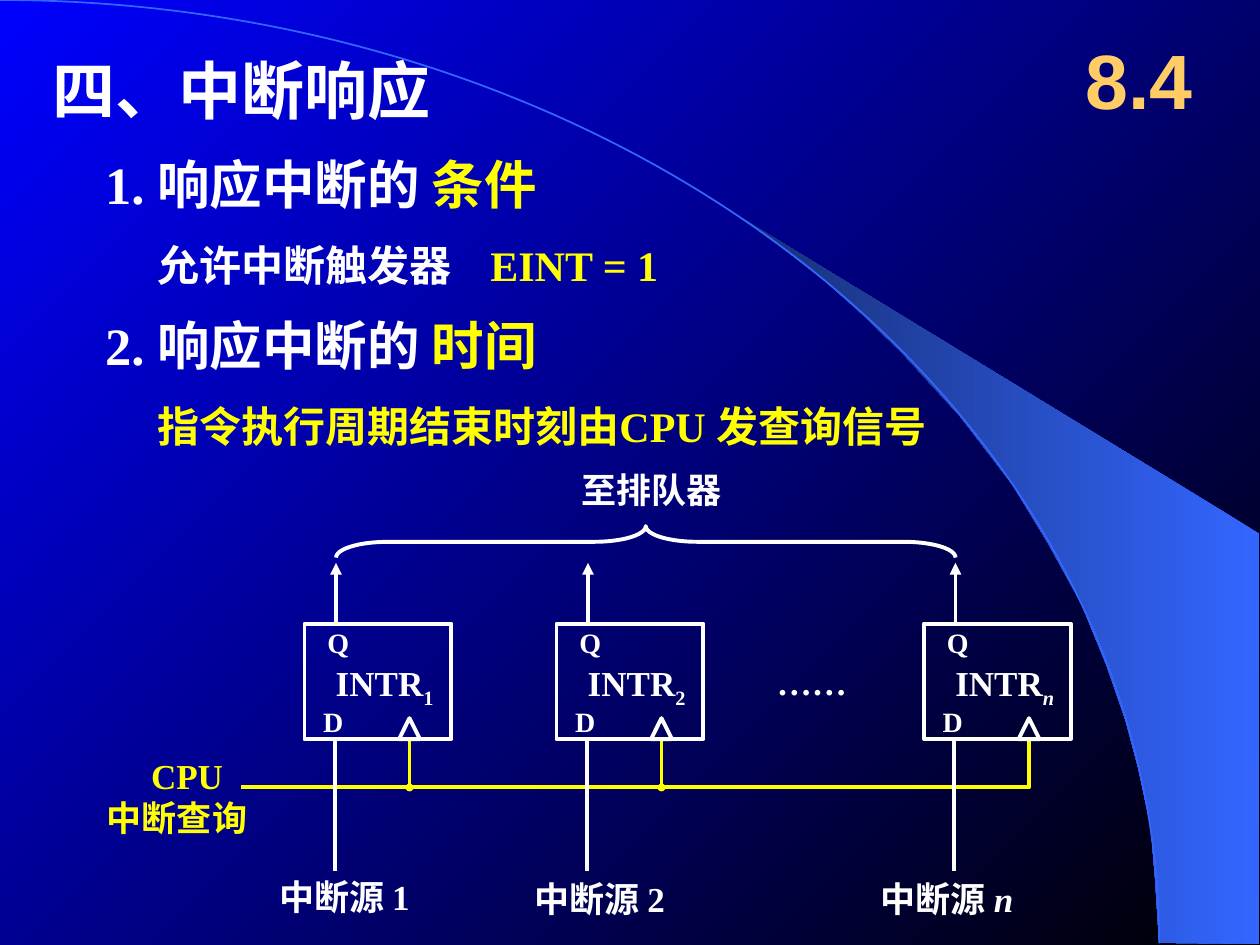
"""Build the slide on interrupt response: conditions, timing and the request flip-flops."""
from dataclasses import dataclass

from lxml.etree import SubElement
from pptx import Presentation
from pptx.dml.color import RGBColor
from pptx.enum.shapes import MSO_CONNECTOR, MSO_SHAPE
from pptx.enum.text import MSO_ANCHOR, PP_ALIGN
from pptx.oxml.ns import qn
from pptx.util import Emu, Pt

PX = 7620


@dataclass(frozen=True)
class Theme:
    white: str = "FFFFFF"
    yellow: str = "FFFF00"
    gold: str = "FFCC66"
    black: str = "000000"
    blue: str = "0000FF"
    sky: str = "3366FF"
    navy: str = "172F75"
    serif: str = "Times New Roman"
    sans: str = "Arial"
    number: int = 44
    title: int = 36
    heading: int = 30
    body: int = 24
    label: int = 20
    pin: int = 16
    stroke: float = 2.25
    edge: float = 1


THEME = Theme()
W, Y = THEME.white, THEME.yellow

HEADINGS = [
    ((50, 50, 830, 70), THEME.title, [("四、中断响应", W)], None),
    ((100, 140, 510, 70), THEME.heading, [("1. 响应中断的 ", W), ("条件", Y)], None),
    ((150, 217, 510, 70), THEME.body, [("允许中断触发器", W), ("\tEINT = 1", Y)], 317),
    ((100, 293, 510, 70), THEME.heading, [("2. 响应中断的 ", W), ("时间", Y)], None),
    ((150, 370, 880, 70), THEME.body, [("指令执行周期结束时刻由CPU 发查询信号", Y)], None),
]
FLIP_FLOPS = [
    {"left": 290, "index": "1", "italic": False, "source": (254, 828)},
    {"left": 530, "index": "2", "italic": False, "source": (497, 830)},
    {"left": 880, "index": "n", "italic": True, "source": (827, 830)},
]
PINS = [("D", 6, 665), ("Q", 10, 590)]
BOX_TOP, BOX_WIDTH, BOX_HEIGHT = 594, 140, 110
BOX_BOTTOM = BOX_TOP + BOX_HEIGHT
OUTPUT_X, INPUT_X, CLOCK_X = 30, 29, 100
ARROW_TOP, BUS_LEFT, BUS_Y, SOURCE_Y = 536, 230, 750, 830
WING = [
    (1104, 898), (1199, 899), (1199, 508), (707, 208), (749, 239), (784, 266),
    (822, 300), (859, 336), (914, 396), (964, 461), (998, 517), (1030, 575),
    (1054, 634), (1072, 686), (1084, 731), (1096, 787), (1100, 835),
]


def px(*lengths):
    return [Emu(length * PX) for length in lengths]


def set_gradient(fill, first, last, angle):
    fill.gradient()
    fill.gradient_angle = angle
    for stop, color in zip(fill.gradient_stops, (first, last)):
        stop.color.rgb = RGBColor.from_string(color)


def set_line(item, color, width=THEME.stroke):
    item.line.color.rgb = RGBColor.from_string(color)
    item.line.width = Pt(width)


def add_outline(slide, kind, box, color, width=THEME.stroke):
    shape = slide.shapes.add_shape(kind, *px(*box))
    shape.shadow.inherit = False
    shape.fill.background()
    set_line(shape, color, width)
    return shape


def add_freeform(slide, points, close):
    builder = slide.shapes.build_freeform(*points[0], scale=PX)
    builder.add_line_segments(points[1:], close=close)
    shape = builder.convert_to_shape()
    shape.shadow.inherit = False
    return shape


def add_line(slide, x, start, end, color, tail=None, tail_size="med"):
    connector = slide.shapes.add_connector(MSO_CONNECTOR.STRAIGHT, *px(x, start, x, end))
    set_line(connector, color)
    if tail:
        SubElement(connector.line._get_or_add_ln(), qn("a:tailEnd"),
                   type=tail, w=tail_size, len=tail_size)
    SubElement(connector._element.spPr, qn("a:effectLst"))


def add_run(paragraph, size, text, color=W, italic=False, baseline=None, font=THEME.serif):
    run = paragraph.add_run()
    run.text = text
    run.font.name, run.font.size, run.font.bold = font, Pt(size), True
    run.font.color.rgb = RGBColor.from_string(color)
    if italic:
        run.font.italic = True
    if baseline:
        run._r.get_or_add_rPr().set("baseline", str(baseline))


def add_frame(slide, box):
    frame = slide.shapes.add_textbox(*px(*box)).text_frame
    frame.word_wrap = True
    return frame


def add_label(slide, box, size, *runs):
    frame = add_frame(slide, box)
    frame.margin_right = 0
    for run in runs:
        add_run(frame.paragraphs[0], size, *run)
    return frame


def add_heading(slide, box, size, runs, tab):
    frame = add_frame(slide, box)
    frame.vertical_anchor = MSO_ANCHOR.MIDDLE
    frame.margin_left = frame.margin_right = 0
    paragraph = frame.paragraphs[0]
    if tab:
        stops = SubElement(paragraph._p.get_or_add_pPr(), qn("a:tabLst"))
        SubElement(stops, qn("a:tab"), pos=str(tab * PX), algn="l")
    for run in runs:
        add_run(paragraph, size, *run)


def add_backdrop(slide):
    set_gradient(slide.background.fill, THEME.black, THEME.blue, 135)
    wing = add_freeform(slide, WING, True)
    set_gradient(wing.fill, THEME.sky, THEME.navy, 180)
    wing.line.fill.background()
    add_outline(slide, MSO_SHAPE.ARC, (-1104, 0, 2208, 1797), THEME.sky, THEME.edge)


def add_query_bus(slide):
    *tapped, last = [flip_flop["left"] + CLOCK_X for flip_flop in FLIP_FLOPS]
    bus = add_freeform(slide, [(BUS_LEFT, BUS_Y), (last, BUS_Y), (last, BOX_BOTTOM)], False)
    bus.fill.background()
    set_line(bus, Y)
    for x in tapped:
        add_line(slide, x, BOX_BOTTOM, BUS_Y, Y, "oval", "sm")
    frame = add_label(slide, (90, 713, 157, 92), THEME.label, ("CPU", Y))
    frame.paragraphs[0]._p.get_or_add_pPr().set("marL", str(42 * PX))
    add_run(frame.add_paragraph(), THEME.label, "中断查询", Y)


def add_flip_flop(slide, left, index, italic, source):
    add_line(slide, left + OUTPUT_X, BOX_TOP + 2, ARROW_TOP, W, "triangle")
    add_label(slide, (left + 18, 624, 122, 58), THEME.label,
              ("INTR", W), (index, W, italic, -25000))
    add_outline(slide, MSO_SHAPE.RECTANGLE, (left, BOX_TOP, BOX_WIDTH, BOX_HEIGHT), W)
    for name, offset, top in PINS:
        add_label(slide, (left + offset, top, 44, 44), THEME.pin, (name, W))
    add_outline(slide, MSO_SHAPE.ISOSCELES_TRIANGLE,
                (left + CLOCK_X - 10, BOX_BOTTOM - 20, 20, 20), W)
    add_line(slide, left + INPUT_X, BOX_BOTTOM, SOURCE_Y, W)
    add_label(slide, (*source, 160, 53), THEME.label, ("中断源 ", W), (index, W, italic))


def main():
    presentation = Presentation()
    presentation.slide_width, presentation.slide_height = px(1200, 900)
    slide = presentation.slides.add_slide(presentation.slide_layouts[6])
    add_backdrop(slide)
    for heading in HEADINGS:
        add_heading(slide, *heading)
    add_query_bus(slide)
    brace = add_outline(slide, MSO_SHAPE.LEFT_BRACE, (600, 221, 30, 590), W)
    brace.rotation = 90
    brace.adjustments[0] = 1.64
    for flip_flop in FLIP_FLOPS:
        add_flip_flop(slide, **flip_flop)
    add_label(slide, (728, 623, 90, 53), THEME.label, ("……", W))
    add_label(slide, (542, 440, 157, 53), THEME.label, ("至排队器", W))
    number = add_frame(slide, (1010, 20, 150, 110))
    number.vertical_anchor = MSO_ANCHOR.MIDDLE
    number.paragraphs[0].alignment = PP_ALIGN.CENTER
    add_run(number.paragraphs[0], THEME.number, "8.4", THEME.gold, font=THEME.sans)
    presentation.save("out.pptx")


if __name__ == "__main__":
    main()
